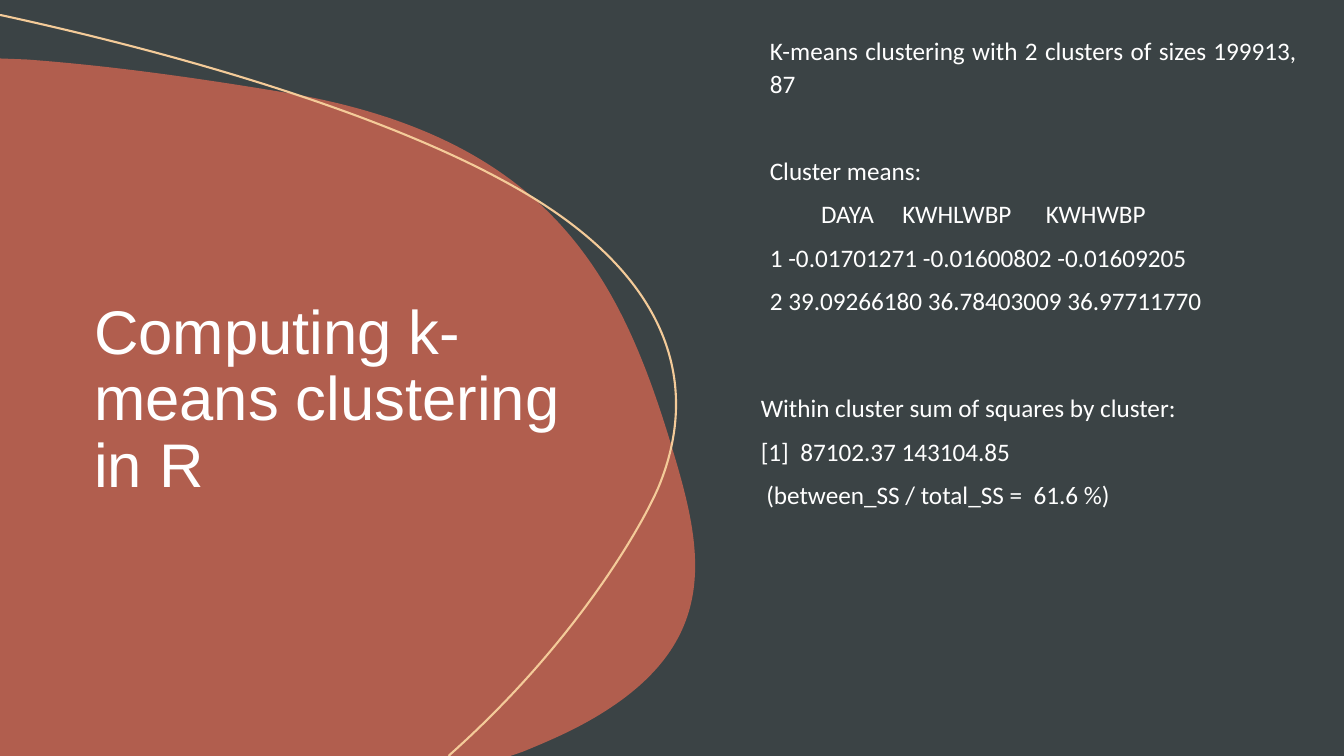
from lxml.etree import SubElement
from pptx import Presentation
from pptx.dml.color import RGBColor
from pptx.enum.shapes import MSO_SHAPE
from pptx.enum.text import MSO_ANCHOR, MSO_AUTO_SIZE, PP_ALIGN
from pptx.oxml.ns import qn
from pptx.util import Pt

DARK, RUST, SAND, WHITE = "3B4345", "B15E4E", "F4CB99", "FFFFFF"
WIDE, HIGH = 960, 540

# Outlines in points: a pair is a corner, a triple of pairs is a Bezier curve.
BLOB = [
    (0, 41.76), (18.72, 42.48),
    ((77.76, 46.8), (138.96, 55.44), (200.16, 65.52)),
    ((390.24, 96.48), (441.36, 195.12), (477.36, 311.04)),
    ((501.12, 388.8), (521.28, 459.36), (418.32, 516.24)),
    ((403.92, 524.16), (388.8, 530.64), (372.96, 537.12)),
    (364.32, 540), (0, 540),
]
ARC = [
    (0, 10.8), (0.72, 10.8),
    ((149.76, 43.2), (277.92, 84.96), (357.84, 128.16)),
    ((478.08, 192.24), (501.84, 272.88), (470.16, 348.48)),
    ((455.04, 383.04), (406.08, 463.68), (321.12, 539.28)),
    (320.4, 540),
]

MEANS = [
    ("K-means clustering with 2 clusters of sizes 199913, 87", {}),
    ("Cluster means:", {"before": 31}),
    ("DAYA KWHLWBP KWHWBP", {"indent": 36.6, "gaps": (16.3, 20.4)}),
    ("1 -0.01701271 -0.01600802 -0.01609205", {}),
    ("2 39.09266180 36.78403009 36.97711770", {}),
]
SQUARES = [
    ("Within cluster sum of squares by cluster:", {}),
    ("[1]  87102.37 143104.85", {}),
    ("(between_SS / total_SS =  61.6 %)", {"indent": 4}),
]


def color(code):
    return RGBColor.from_string(code)


def paint(shape, fill=None, line=None):
    shape.shadow.inherit = False
    if fill:
        shape.fill.solid()
        shape.fill.fore_color.rgb = color(fill)
    else:
        shape.fill.background()
    if line:
        shape.line.color.rgb = color(line)
        shape.line.width = Pt(1.5)
    else:
        shape.line.fill.background()


def draw(slide, outline, width, fill=None, line=None):
    """Draw an outline that starts at its top left; close it if filled."""
    curved = [isinstance(part[0], tuple) for part in outline]
    ends = [part[-1] if bend else part for part, bend in zip(outline, curved)]
    dots = [(Pt(x), Pt(y)) for x, y in ends]
    maker = slide.shapes.build_freeform(*dots[0])
    maker.add_line_segments(dots[1:], close=fill is not None)
    shape = maker.convert_to_shape()
    nodes = list(shape._element.iter(qn("a:lnTo")))
    for node, part, bend in zip(nodes, outline[1:], curved[1:]):
        if bend:
            node.tag = qn("a:cubicBezTo")
            for i, (x, y) in enumerate(part[:2]):
                spot = SubElement(node, qn("a:pt"), x=str(Pt(x)),
                                  y=str(Pt(y) - dots[0][1]))
                node.insert(i, spot)
    # Curves bulge past their end points, so the width is set apart.
    shape.width = Pt(width)
    next(shape._element.iter(qn("a:path"))).set("w", str(Pt(width)))
    paint(shape, fill, line)


def write(para, text, font="Calibri", size=18, align=PP_ALIGN.JUSTIFY,
          lead=1.07, before=0, after=8, indent=0, gaps=()):
    """Fill a paragraph; gaps widen the spaces between its words, in points."""
    para.alignment, para.line_spacing = align, lead
    para.space_before, para.space_after = Pt(before), Pt(after)
    props = para._p.get_or_add_pPr()
    props.set("marL", str(Pt(indent)))
    props.set("indent", "0")
    SubElement(props, qn("a:buNone"))
    bits = [(text, 0)]
    if gaps:
        first, *rest = text.split()
        bits = [(first, 0)]
        for word, gap in zip(rest, gaps):
            bits += [(" ", gap), (word, 0)]
    for bit, gap in bits:
        run = para.add_run()
        run.text = bit
        run.font.name, run.font.size = font, Pt(size)
        run.font.color.rgb = color(WHITE)
        if gap:
            run._r.get_or_add_rPr().set("spc", str(round(gap * 100)))


def place(holder, box, anchor):
    holder.left, holder.top, holder.width, holder.height = map(Pt, box)
    frame = holder.text_frame
    frame.word_wrap = True
    frame.auto_size = MSO_AUTO_SIZE.NONE
    frame.vertical_anchor = anchor
    return frame


def head(holder, box):
    frame = place(holder, box, MSO_ANCHOR.BOTTOM)
    write(frame.paragraphs[0], "Computing k-means clustering in R", font="Arial",
          size=44, align=PP_ALIGN.LEFT, lead=0.9, after=6)


def block(holder, box, rows):
    frame = place(holder, box, MSO_ANCHOR.TOP)
    for i, (text, style) in enumerate(rows):
        para = frame.add_paragraph() if i else frame.paragraphs[0]
        write(para, text, **style)


def decor(slide):
    back = slide.background.fill
    back.solid()
    back.fore_color.rgb = color(RUST)
    panel = slide.shapes.add_shape(MSO_SHAPE.RECTANGLE, 0, 0, Pt(WIDE), Pt(HIGH))
    paint(panel, fill=DARK)
    draw(slide, BLOB, 496.6, fill=RUST)
    draw(slide, ARC, 482.6, line=SAND)


def main():
    deck = Presentation()
    deck.slide_width, deck.slide_height = Pt(WIDE), Pt(HIGH)
    slide = deck.slides.add_slide(deck.slide_layouts.get_by_name("Two Content"))
    title, means, sums = list(slide.placeholders)[:3]
    decor(slide)
    head(title, (60, 181.2, 360, 180))
    block(means, (542.7, 20.4, 391, 210), MEANS)
    block(sums, (536.2, 275.2, 379, 124), SQUARES)
    for holder in (title, means, sums):
        slide.shapes._spTree.append(holder._element)  # text in front
    deck.save("out.pptx")


if __name__ == "__main__":
    main()
